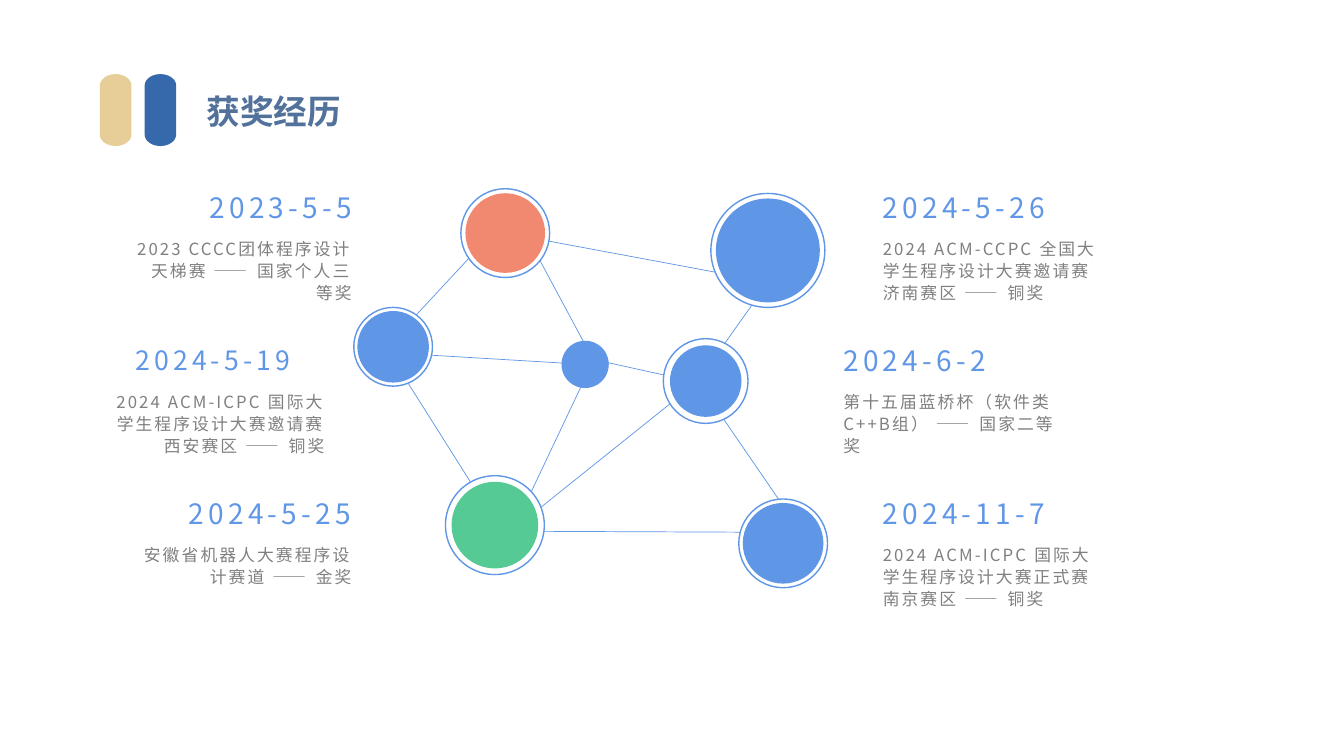
from pptx import Presentation
from pptx import util as u
from pptx.dml.color import RGBColor
from pptx.enum import shapes, text
from pptx.oxml.ns import qn
from lxml import etree

BLUE = RGBColor(0x60, 0x96, 0xE6)
CORAL = RGBColor(0xF1, 0x88, 0x70)
GREEN = RGBColor(0x56, 0xCA, 0x95)
SAND = RGBColor(0xE7, 0xCD, 0x98)
NAVY = RGBColor(0x36, 0x69, 0xAB)
TITLE = RGBColor(0x52, 0x72, 0x9B)
GRAY = RGBColor(0x80, 0x80, 0x80)
WHITE = RGBColor(0xFF, 0xFF, 0xFF)

LEFT, RIGHT = text.PP_ALIGN.LEFT, text.PP_ALIGN.RIGHT

# x1, y1, x2, y2
LINKS = [
    (352.8, 370.8, 280.1, 255.6),
    (366.5, 378.7, 423.4, 258.5),
    (375.8, 370.8, 495.4, 275),
    (544.3, 380.2, 352.8, 379.4),
    (405.4, 252.7, 490.3, 271.4),
    (379.4, 169.9, 545.8, 200.9),
    (499.7, 274.3, 558, 359.3),
    (499.7, 270.7, 555.8, 191.5),
    (274.3, 249.8, 357.1, 160.6),
    (422.6, 254.9, 375.1, 166.3),
    (279.4, 252, 411.1, 259.9),
]

# centre x, centre y, ring diameter (0 for none), disc diameter, colour
NODES = [
    (353.5, 375.1, 70.6, 61.9, GREEN),
    (280.8, 247.7, 56.2, 51.1, BLUE),
    (360.9, 166.5, 63.4, 56.9, CORAL),
    (548.5, 178.9, 81.4, 74.2, BLUE),
    (559.4, 388.1, 63.4, 57.6, BLUE),
    (504.1, 272.2, 60.5, 51.1, BLUE),
    (418, 260.3, 0, 33.8, BLUE),
]

# row, alignment, date left, date width, date size, detail left, date, detail
AWARDS = [
    (0, RIGHT, 136.1, 122.4, 20, 87.8, "2023-5-5",
     "2023 CCCC团体程序设计天梯赛 —— 国家个人三等奖"),
    (1, RIGHT, 68.4, 146.2, 19, 68.4, "2024-5-19",
     "2024 ACM-ICPC 国际大学生程序设计大赛邀请赛西安赛区 —— 铜奖"),
    (2, RIGHT, 100.1, 157.7, 20, 87.8, "2024-5-25",
     "安徽省机器人大赛程序设计赛道 —— 金奖"),
    (0, LEFT, 623.5, 142.6, 20, 623.5, "2024-5-26",
     "2024 ACM-CCPC 全国大学生程序设计大赛邀请赛济南赛区 —— 铜奖"),
    (1, LEFT, 595.4, 122.4, 20, 595.4, "2024-6-2",
     "第十五届蓝桥杯（软件类C++B组） —— 国家二等奖"),
    (2, LEFT, 623.5, 176.4, 20, 623.5, "2024-11-7",
     "2024 ACM-ICPC 国际大学生程序设计大赛正式赛南京赛区 —— 铜奖"),
]
ROW_TOP, ROW_STEP = 132.5, 109.4
DETAIL_OFFSET, DETAIL_WIDTH, DETAIL_HEIGHT = 32.9, 170.6, 56.2


class SlideBuilder:
    font_name = "Noto Sans CJK SC"

    def __init__(self, slide):
        self.slide = slide

    def preset(self, kind, left, top, width, height, fill, line=None, rotation=0):
        shape = self.slide.shapes.add_shape(
            kind, u.Pt(left), u.Pt(top), u.Pt(width), u.Pt(height))
        shape.shadow.inherit = False
        shape.rotation = rotation
        shape.fill.solid()
        shape.fill.fore_color.rgb = fill
        if line is None:
            shape.line.fill.background()
        else:
            shape.line.color.rgb = line
            shape.line.width = u.Pt(1)

    def circle(self, x, y, diameter, fill, line=None):
        self.preset(shapes.MSO_SHAPE.OVAL, x - diameter / 2, y - diameter / 2,
                    diameter, diameter, fill, line)

    def link(self, x1, y1, x2, y2):
        connector = self.slide.shapes.add_connector(
            shapes.MSO_CONNECTOR.STRAIGHT, u.Pt(x1), u.Pt(y1), u.Pt(x2), u.Pt(y2))
        connector.line.color.rgb = BLUE
        connector.line.width = u.Pt(0.5)
        etree.SubElement(connector._element.spPr, qn("a:effectLst"))

    def label(self, content, left, top, width, height, *, size, color, align=LEFT,
              bold=False, tracking=0, line_spacing=None, after=0, bottom=3.6):
        box = self.slide.shapes.add_textbox(
            u.Pt(left), u.Pt(top), u.Pt(width), u.Pt(height))
        frame = box.text_frame
        frame.word_wrap = True
        frame.margin_bottom = u.Pt(bottom)
        paragraph = frame.paragraphs[0]
        paragraph.alignment = align
        paragraph.space_after = u.Pt(after)
        if line_spacing:
            paragraph.line_spacing = line_spacing
        run = paragraph.add_run()
        run.text = content
        run.font.size = u.Pt(size)
        run.font.bold = bold
        run.font.color.rgb = color
        run.font.name = self.font_name
        properties = run._r.get_or_add_rPr()
        properties.set("spc", str(int(tracking * 100)))
        etree.SubElement(properties, qn("a:ea"), typeface=self.font_name)

    def award(self, row, align, date_left, date_width, date_size,
              detail_left, date, detail):
        top = ROW_TOP + row * ROW_STEP
        self.label(date, date_left, top, date_width, 32.4, size=date_size,
                   color=BLUE, align=align, tracking=3, bottom=0)
        self.label(detail, detail_left, top + DETAIL_OFFSET, DETAIL_WIDTH,
                   DETAIL_HEIGHT, size=12, color=GRAY, align=align,
                   tracking=1.5, line_spacing=1.1, after=10)


def main():
    presentation = Presentation()
    presentation.slide_width = u.Pt(960)
    presentation.slide_height = u.Pt(540)
    builder = SlideBuilder(presentation.slides.add_slide(presentation.slide_layouts[6]))

    for left, color in ((56.9, SAND), (88.9, NAVY)):
        builder.preset(shapes.MSO_SHAPE.FLOWCHART_TERMINATOR, left, 67.3, 51.4, 22.6,
                       color, rotation=270)
    builder.label("获奖经历", 140.4, 61.2, 136.8, 36, size=24, color=TITLE, bold=True)

    for ends in LINKS:
        builder.link(*ends)
    for x, y, ring, disc, color in NODES:
        if ring:
            builder.circle(x, y, ring, WHITE, BLUE)
        builder.circle(x, y, disc, color)
    for award in AWARDS:
        builder.award(*award)

    presentation.save("out.pptx")


if __name__ == "__main__":
    main()
